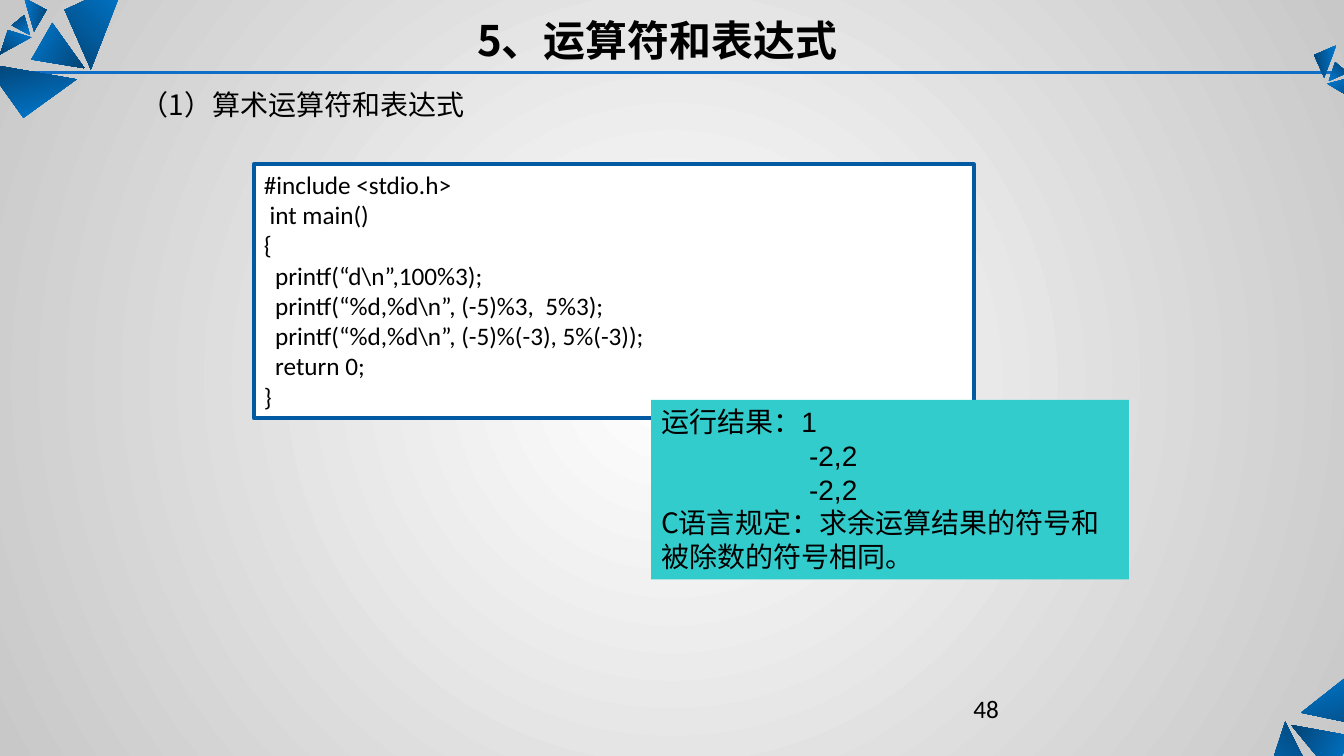
import pptx
import pptx.util
import pptx.dml.color
import pptx.enum.shapes
import pptx.enum.text
import pptx.oxml
import pptx.oxml.ns
import lxml.etree

Cm, Pt = pptx.util.Cm, pptx.util.Pt
qn = pptx.oxml.ns.qn
KINDS = pptx.enum.shapes.MSO_SHAPE
ALIGN = pptx.enum.text.PP_ALIGN

HEX = {"ink": "000000", "white": "FFFFFF", "gray": "C8C8C8", "rule": "0F6FC6",
       "frame": "025AA2", "teal": "33CCCC", "light": "007BD3", "dark": "034373"}
HAN, CODE, LATIN = "Noto Sans CJK SC", "Calibri", "Arial"

# Each cluster: left and top, then shards as (turn, corners), all in cm.
SHARDS = [
    ((31.6, 16.87), [
        (224, [(0, 3.73), (0.79, 1.32), (1.65, 3.02)]),
        (119, [(2.49, 1.68), (0.94, 1.4), (1.96, 2.64)]),
        (343, [(2.57, 0), (1.19, 1.09), (3.66, 1.6)])]),
    ((-0.38, -0.46), [
        (45, [(3.53, 0), (2.67, 2.21), (2.01, 0.71)]),
        (300, [(1.17, 1.96), (2.51, 2.18), (1.7, 1.04)]),
        (165, [(0.97, 3.43), (2.31, 2.46), (0, 2.06)])]),
    ((0, -0.05), [
        (38, [(0, 1.42), (0.79, 0.99), (0.2, 0.81)]),
        (143, [(0.61, 0.43), (0.76, 0.94), (0.3, 0.69)]),
        (279, [(1.17, 0.3), (0.86, 0.84), (0.61, 0)])]),
    ((33.12, 1.14), [
        (325, [(1.09, 1.42), (0.33, 0.97), (0.94, 0.81)]),
        (220, [(0.53, 0.43), (0.36, 0.91), (0.84, 0.69)]),
        (84, [(0, 0.25), (0.25, 0.81), (0.56, 0)])]),
]

LINES = [
    "#include <stdio.h>",
    " int main()",
    "{",
    "  printf(“d\\n”,100%3);",
    "  printf(“%d,%d\\n”, (-5)%3,  5%3);",
    "  printf(“%d,%d\\n”, (-5)%(-3), 5%(-3));",
    "  return 0;",
    "}",
]


def rgb(name):
    return pptx.dml.color.RGBColor.from_string(HEX[name])


def blend(fill, start, end):
    fill.gradient()
    for stop, name in zip(fill.gradient_stops, (start, end)):
        stop.color.rgb = rgb(name)
    first, last = fill.gradient_stops
    first.position, last.position = 0, 1


def write(para, text, font=HAN, size=20, bold=False, align=ALIGN.LEFT,
          indent=0, spacing=None):
    """Add a run to the paragraph and set its format."""
    para.alignment = align
    if indent:
        para._p.get_or_add_pPr().set("marL", str(Cm(indent)))
    if spacing:
        para.line_spacing = spacing
    run = para.add_run()
    run.text = text
    run.font.name, run.font.size, run.font.bold = font, Pt(size), bold
    run.font.color.rgb = rgb("ink")
    east = lxml.etree.SubElement(run._r.get_or_add_rPr(), qn("a:ea"))
    east.set("typeface", HAN)


def label(slide, box, text, **form):
    frame = slide.shapes.add_textbox(*map(Cm, box)).text_frame
    frame.word_wrap = True
    write(frame.paragraphs[0], text, **form)


def panel(slide, box, fill, line=None):
    """Draw a filled box and return its text frame."""
    shape = slide.shapes.add_shape(KINDS.RECTANGLE, *map(Cm, box))
    shape.shadow.inherit = False
    shape.fill.solid()
    shape.fill.fore_color.rgb = rgb(fill)
    if line:
        shape.line.color.rgb = rgb(line)
        shape.line.width = Pt(3)
    else:
        shape.line.fill.background()
    frame = shape.text_frame
    frame.word_wrap = True
    frame.vertical_anchor = pptx.enum.text.MSO_ANCHOR.TOP
    return frame


def backdrop(slide):
    fill = slide.background.fill
    blend(fill, "white", "gray")
    grad = slide.background._cSld.find(".//" + qn("a:gradFill"))
    grad.remove(grad.find(qn("a:lin")))
    glow = lxml.etree.SubElement(grad, qn("a:path"), path="circle")
    lxml.etree.SubElement(glow, qn("a:fillToRect"),
                          l="50000", t="50000", r="50000", b="50000")


def rule(slide, left, top, width):
    line = slide.shapes.add_connector(
        pptx.enum.shapes.MSO_CONNECTOR.STRAIGHT,
        Cm(left), Cm(top), Cm(left + width), Cm(top))
    line.line.color.rgb = rgb("rule")
    line.line.width = Pt(2.25)
    lxml.etree.SubElement(line._element.spPr, qn("a:effectLst"))


def cluster(slide, left, top, shards):
    for turn, corners in shards:
        first, *rest = [(Cm(left + x), Cm(top + y)) for x, y in corners]
        pen = slide.shapes.build_freeform(*first)
        pen.add_line_segments(rest, close=True)
        shard = pen.convert_to_shape()
        shard.shadow.inherit = False
        shard.line.fill.background()
        blend(shard.fill, "light", "dark")
        shard.fill.gradient_angle = (270 - turn) % 360


def listing(slide, box):
    frame = panel(slide, box, "white", "frame")
    for i, text in enumerate(LINES):
        para = frame.add_paragraph() if i else frame.paragraphs[0]
        write(para, text, font=CODE, size=18)


def result(slide, box):
    frame = panel(slide, box, "teal")
    head = frame.paragraphs[0]
    write(head, "运行结果：")
    write(head, "1", font=LATIN)
    for _ in range(2):
        write(frame.add_paragraph(), "-2,2", font=LATIN, indent=3.73)
    write(frame.add_paragraph(),
          "C语言规定：求余运算结果的符号和被除数的符号相同。")


def main():
    deck = pptx.Presentation()
    deck.slide_width, deck.slide_height = Cm(33.87), Cm(19.05)
    slide = deck.slides.add_slide(deck.slide_layouts[6])
    backdrop(slide)
    rule(slide, 0.08, 1.83, 33.9)
    for (left, top), shards in SHARDS:
        cluster(slide, left, top, shards)
    label(slide, (24.28, 17.35, 7.06, 1.27), "48", font=CODE, size=18)
    label(slide, (2.03, 0.23, 29.08, 1.52), "5、运算符和表达式",
          size=30, bold=True, align=ALIGN.CENTER)
    label(slide, (3.3, 2.18, 9.55, 1.6), "（1）算术运算符和表达式", spacing=0.9)
    listing(slide, (6.4, 4.14, 18.14, 6.4))
    result(slide, (16.41, 10.08, 12.04, 4.52))
    deck.save("out.pptx")


if __name__ == "__main__":
    main()
